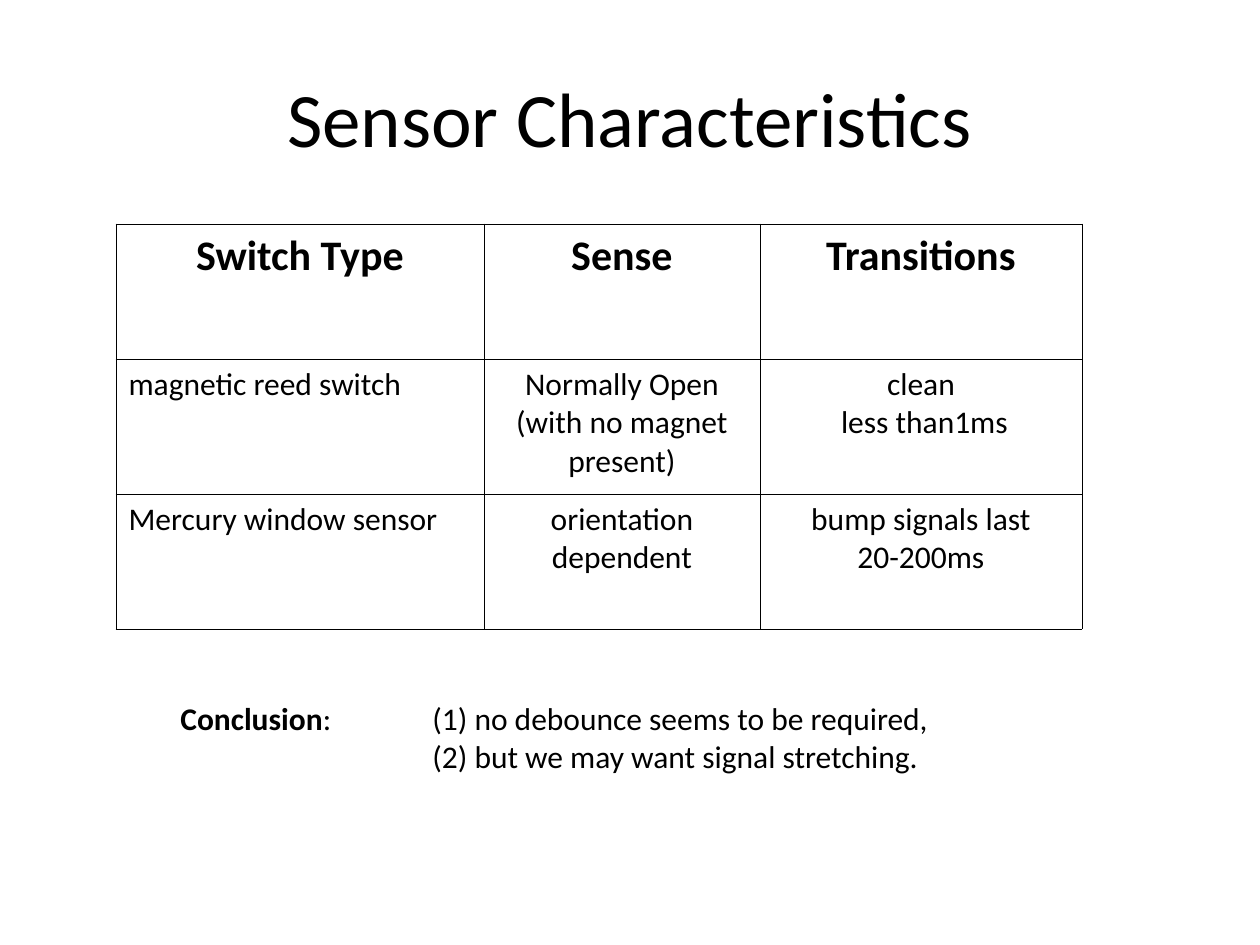
from dataclasses import dataclass

from lxml.etree import SubElement
from pptx import Presentation
from pptx.dml.color import RGBColor
from pptx.enum.text import MSO_ANCHOR, PP_ALIGN
from pptx.oxml.ns import qn
from pptx.util import Emu, Pt

PX_PER_INCH = 126
FONT = "Calibri"
BLACK = "000000"
BORDER_PT = 0.45


@dataclass
class Box:
    x: int
    y: int
    w: int
    h: int


@dataclass
class Column:
    heading: str
    width: int
    align: PP_ALIGN
    entries: tuple[str, ...]


TITLE = Box(63, 38, 1134, 158)
TABLE = Box(116, 224, 966, 405)
CONCLUSION = Box(168, 693, 914, 88)
TAB_STOPS = (126, 252)
COLUMNS = (
    Column("Switch Type", 368, PP_ALIGN.LEFT,
           ("magnetic reed switch", "Mercury window sensor")),
    Column("Sense", 276, PP_ALIGN.CENTER,
           ("Normally Open\n(with no magnet present)", "orientation dependent")),
    Column("Transitions", 322, PP_ALIGN.CENTER,
           ("clean\n less than1ms", "bump signals last\n20-200ms")),
)


def px(n: int) -> Emu:
    return Emu(round(n * 914400 / PX_PER_INCH))


def color(value: str) -> RGBColor:
    return RGBColor.from_string(value)


def format_text(tf, size: int, align: PP_ALIGN, bold: bool = False) -> None:
    for p in tf.paragraphs:
        p.alignment = align
        for r in p.runs:
            r.font.name = FONT
            r.font.size = Pt(size)
            r.font.bold = bold
            r.font.color.rgb = color(BLACK)


def add_text(s, box: Box, text: str, size: int, align: PP_ALIGN, anchor: MSO_ANCHOR):
    sp = s.shapes.add_textbox(px(box.x), px(box.y), px(box.w), px(box.h))
    tf = sp.text_frame
    tf.word_wrap = True
    tf.vertical_anchor = anchor
    tf.text = text
    format_text(tf, size, align)
    return tf


def add_tab_stops(p) -> None:
    tabs = SubElement(p._p.get_or_add_pPr(), qn("a:tabLst"))
    for stop in TAB_STOPS:
        SubElement(tabs, qn("a:tab"), pos=str(px(stop)), algn="l")


def set_borders(cell) -> None:
    tc_pr = cell._tc.get_or_add_tcPr()
    for side in ("lnL", "lnR", "lnT", "lnB"):
        ln = SubElement(tc_pr, qn(f"a:{side}"), w=str(Pt(BORDER_PT)))
        fill = SubElement(ln, qn("a:solidFill"))
        SubElement(fill, qn("a:srgbClr"), val=BLACK)


def fill_cell(cell, text: str, size: int, align: PP_ALIGN, bold: bool) -> None:
    set_borders(cell)
    cell.fill.background()
    cell.text_frame.text = text
    format_text(cell.text_frame, size, align, bold)


def add_switch_table(s, box: Box, columns: tuple[Column, ...]) -> None:
    rows = 1 + len(columns[0].entries)
    table = s.shapes.add_table(rows, len(columns), px(box.x), px(box.y),
                               px(box.w), px(box.h)).table
    table.first_row = False
    table.horz_banding = False
    for row in table.rows:
        row.height = px(box.h // rows)
    for c, column in enumerate(columns):
        table.columns[c].width = px(column.width)
        fill_cell(table.cell(0, c), column.heading, 24, PP_ALIGN.CENTER, True)
        for i, entry in enumerate(column.entries, start=1):
            fill_cell(table.cell(i, c), entry, 18, column.align, False)


def main() -> None:
    prs = Presentation()
    prs.slide_width, prs.slide_height = px(1260), px(945)
    s = prs.slides.add_slide(prs.slide_layouts[6])

    # Title
    add_text(s, TITLE, "Sensor Characteristics", 44, PP_ALIGN.CENTER, MSO_ANCHOR.MIDDLE)

    # Switch comparison
    add_switch_table(s, TABLE, COLUMNS)

    # Conclusion, with its points aligned on a tab stop
    tf = add_text(s, CONCLUSION, "Conclusion\n\t\t(2) but we may want signal stretching.",
                  18, PP_ALIGN.LEFT, MSO_ANCHOR.TOP)
    first = tf.paragraphs[0]
    first.add_run().text = ": \t(1) no debounce seems to be required,"
    for p in tf.paragraphs:
        add_tab_stops(p)
    format_text(tf, 18, PP_ALIGN.LEFT)
    first.runs[0].font.bold = True

    prs.save("out.pptx")


if __name__ == "__main__":
    main()
